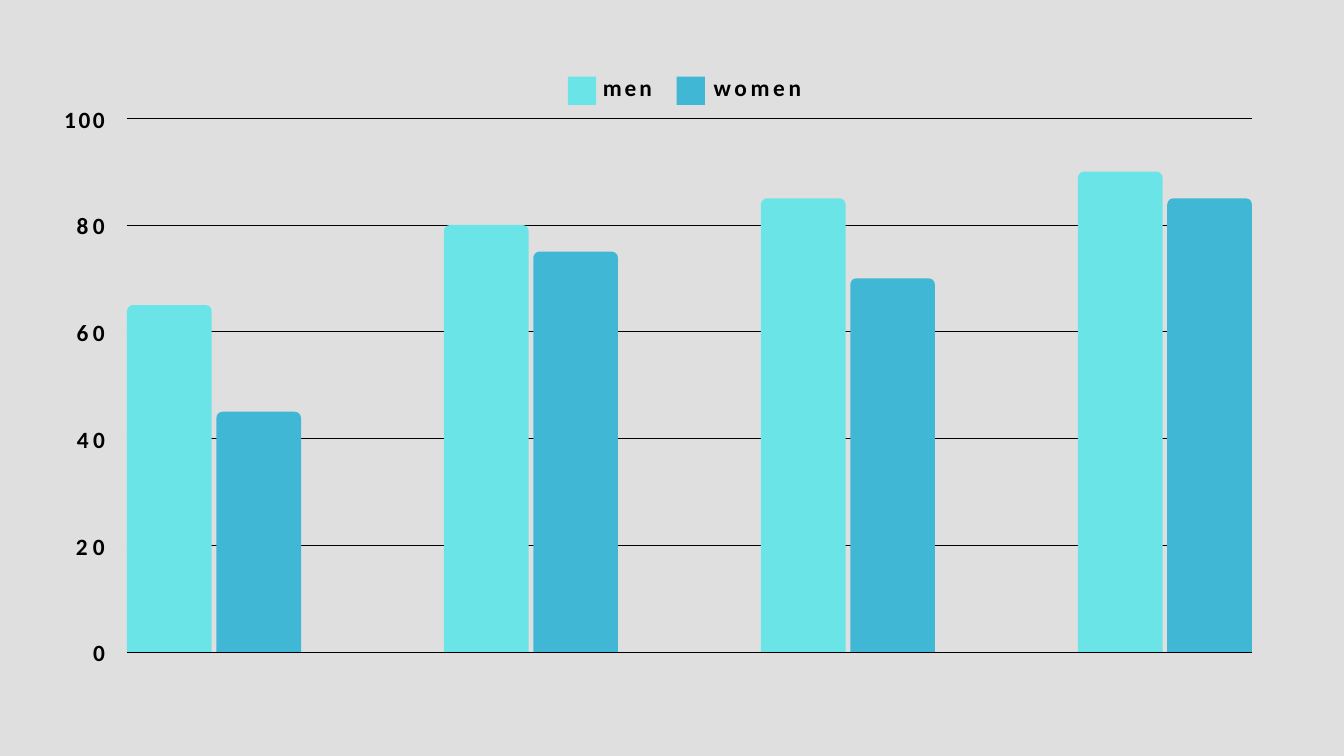
from lxml import etree
from pptx import Presentation
from pptx.dml.color import RGBColor
from pptx.enum.shapes import MSO_CONNECTOR as Link, MSO_SHAPE as Shape
from pptx.enum.text import PP_ALIGN as Align
from pptx.oxml.ns import qn
from pptx.util import Inches, Pt

LEFT, RIGHT, TOP, BASE = 1.89, 18.63, 1.76, 9.7
MEN, WOMEN = "6BE4E7", "40B8D5"


def block(kind, left, top, width, height, tint):
    """Add a plain filled shape without outline."""
    shape = slide.shapes.add_shape(
        kind, Inches(left), Inches(top), Inches(width), Inches(height))
    shape.shadow.inherit = False
    shape.fill.solid()
    shape.fill.fore_color.rgb = RGBColor.from_string(tint)
    shape.line.fill.background()
    return shape


def label(text, left, top, width, track, align=Align.LEFT):
    """Add one bold line of text; track is the letter spacing in points."""
    box = slide.shapes.add_textbox(
        Inches(left), Inches(top), Inches(width), Inches(0.45))
    frame = box.text_frame
    frame.word_wrap = True
    frame.margin_left = frame.margin_right = frame.margin_bottom = 0
    frame.margin_top = Inches(0.02)
    para = frame.paragraphs[0]
    para.alignment = align
    run = para.add_run()
    run.text = text
    font = run.font
    font.name, font.size, font.bold = "Calibri", Pt(25), True
    font.color.rgb = RGBColor.from_string("000000")
    font._element.set("spc", str(round(track * 100)))


deck = Presentation()
deck.slide_width, deck.slide_height = Inches(20), Inches(11.25)
slide = deck.slides.add_slide(deck.slide_layouts[6])
slide.background.fill.solid()
slide.background.fill.fore_color.rgb = RGBColor.from_string("DFDFDF")

# Legend
for name, left, start, width, track, tint in [
        ("men", 8.45, 8.97, 0.82, 3.2, MEN),
        ("women", 10.07, 10.62, 1.4, 3.9, WOMEN)]:
    block(Shape.RECTANGLE, left, 1.14, 0.42, 0.42, tint)
    label(name, start, 1.07, width, track)

# Scale: a line and a number for every 20
unit = (BASE - TOP) / 100
scale = [(0, 5.3, 0.28), (20, 5.8, 0.55), (40, 4.7, 0.52),
         (60, 5, 0.53), (80, 5, 0.53), (100, 2.9, 0.69)]
for value, track, width in scale:
    y = BASE - value * unit
    line = slide.shapes.add_connector(
        Link.STRAIGHT, Inches(LEFT), Inches(y), Inches(RIGHT), Inches(y))
    line.line.color.rgb = RGBColor.from_string("000000")
    line.line.width = Pt(0.71)
    etree.SubElement(line._element.spPr, qn("a:effectLst"))
    label(str(value), 1.56 - width, y - 0.22, width, track, Align.RIGHT)

# Bars: four pairs from edge to edge, rounded at the top
wide, gap, round_by = 1.26, 0.07, 0.09
pair = 2 * wide + gap
pitch = (RIGHT - LEFT - pair) / 3
for i, values in enumerate([(65, 45), (80, 75), (85, 70), (90, 85)]):
    for j, (value, tint) in enumerate(zip(values, (MEN, WOMEN))):
        left = LEFT + i * pitch + j * (wide + gap)
        tall = value * unit
        bar = block(Shape.ROUND_2_SAME_RECTANGLE,
                    left, BASE - tall, wide, tall, tint)
        bar.adjustments[0] = round_by / wide

deck.save("out.pptx")
